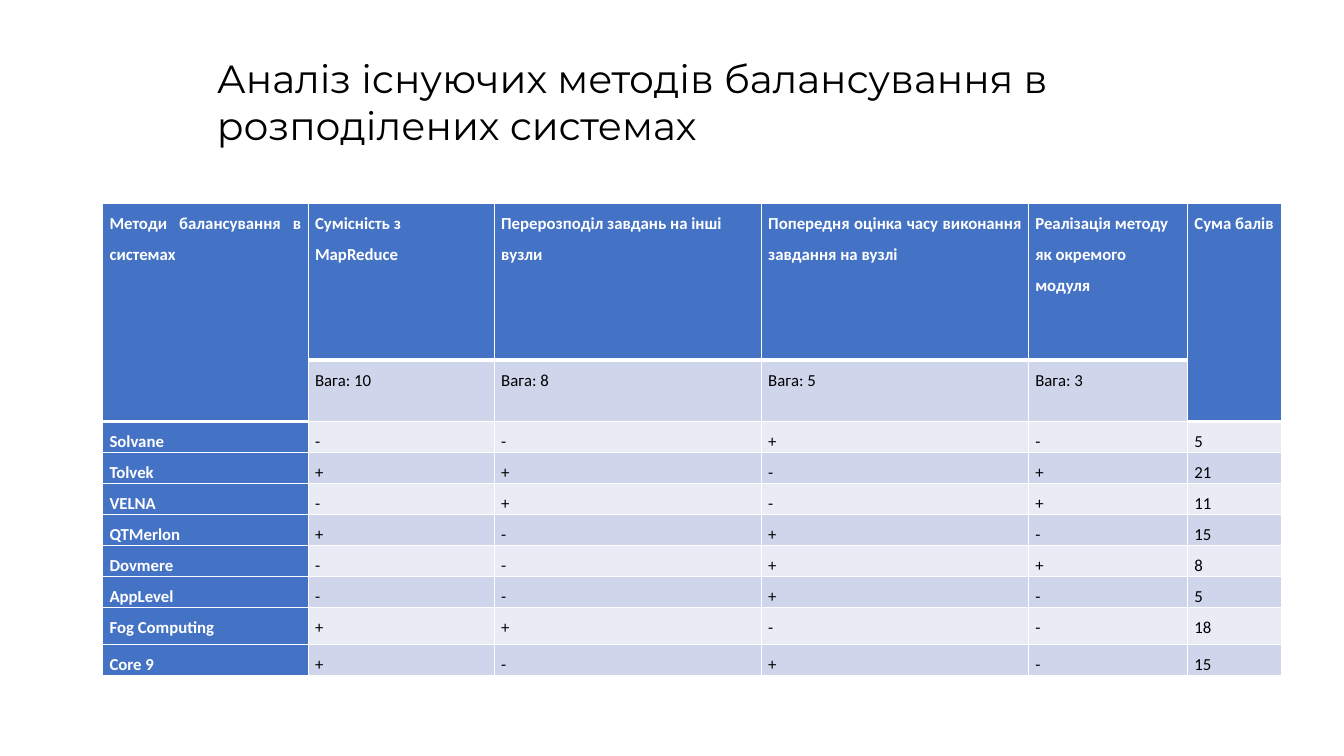
from lxml import etree
from pptx import Presentation
from pptx.dml.color import RGBColor
from pptx.enum.text import MSO_ANCHOR as Anchor, PP_ALIGN as Align
from pptx.oxml.ns import qn
from pptx.util import Cm, Pt

TITLE = "Аналіз існуючих методів балансування в розподілених системах"
HEADS = ["Методи балансування в системах", "Сумісність з MapReduce",
         "Перерозподіл завдань на інші вузли",
         "Попередня оцінка часу виконання завдання на вузлі",
         "Реалізація методу як окремого модуля", "Сума балів"]
COSTS = ["", "Вага: 10", "Вага: 8", "Вага: 5", "Вага: 3", ""]
MARKS = [("Solvane", "--+-", 5), ("Tolvek", "++-+", 21), ("VELNA", "-+-+", 11),
         ("QTMerlon", "+-+-", 15), ("Dovmere", "--++", 8), ("AppLevel", "--+-", 5),
         ("Fog Computing", "++--", 18), ("Core 9", "+-+-", 15)]
ROWS = [HEADS, COSTS] + [[name, *signs, str(total)] for name, signs, total in MARKS]

WIDTHS = [5.18, 4.69, 6.73, 6.73, 4.01, 2.36]
HEIGHTS = [3.94, 1.54] + [0.78] * 6 + [0.94, 0.78]
TALL = (0, 5)
LEFT = (1, 2, 4)

BLUE = RGBColor(0x44, 0x72, 0xC4)
PALE = RGBColor(0xE9, 0xEB, 0xF5)
DARK = RGBColor(0xCF, 0xD5, 0xEA)
WHITE = RGBColor(0xFF, 0xFF, 0xFF)
BLACK = RGBColor(0, 0, 0)

TITLE_BOX = {"left": Cm(5.21), "top": Cm(1.24), "width": Cm(24.84), "height": Cm(3.84)}
TITLE_FRAME = {"word_wrap": True, "vertical_anchor": Anchor.TOP}
TITLE_FONT = {"name": "Montserrat", "size": Pt(28), "bold": False}
CELL_FONT = {"name": "Calibri", "size": Pt(12)}
CELL_PAD = {"margin_left": Cm(0.17), "margin_right": Cm(0.17),
            "margin_top": 0, "margin_bottom": 0, "vertical_anchor": Anchor.TOP}


def apply(item, form):
    for key, value in form.items():
        setattr(item, key, value)


def add_edge(cell, side, points):
    line = etree.SubElement(cell._tc.get_or_add_tcPr(), qn("a:ln" + side), w=str(Pt(points)))
    fill = etree.SubElement(line, qn("a:solidFill"))
    etree.SubElement(fill, qn("a:srgbClr"), val=str(WHITE))


def fill_cell(cell, row, col, text):
    lead = 2 if col in TALL else 1
    head = col == 0 or row < lead
    last = row + (cell.span_height if cell.is_merge_origin else 1)
    apply(cell, CELL_PAD)
    for side, thick in (("L", False), ("R", False), ("T", row == lead), ("B", last == lead)):
        add_edge(cell, side, 3 if thick else 1)
    cell.fill.solid()
    cell.fill.fore_color.rgb = BLUE if head else DARK if row % 2 else PALE
    if cell.is_spanned:
        return
    cell.text = text
    para = cell.text_frame.paragraphs[0]
    align = Align.LEFT if row == 0 and col in LEFT else Align.JUSTIFY
    apply(para, {"alignment": align, "line_spacing": 1.5})
    font = para.runs[0].font
    apply(font, {**CELL_FONT, "bold": head})
    font.color.rgb = WHITE if head else BLACK


def add_title(slide):
    title = slide.shapes.title
    apply(title, TITLE_BOX)
    title.text = TITLE
    apply(title.text_frame, TITLE_FRAME)
    para = title.text_frame.paragraphs[0]
    para.alignment = Align.LEFT
    font = para.runs[0].font
    apply(font, TITLE_FONT)
    font.color.rgb = BLACK


def add_grid(slide):
    grid = slide.shapes.add_table(len(ROWS), len(WIDTHS), Cm(2.59), Cm(5.13),
                                  Cm(sum(WIDTHS)), Cm(sum(HEIGHTS))).table
    for col, width in zip(grid.columns, WIDTHS):
        col.width = Cm(width)
    for row, height in zip(grid.rows, HEIGHTS):
        row.height = Cm(height)
    for col in TALL:
        grid.cell(0, col).merge(grid.cell(1, col))
    for row, texts in enumerate(ROWS):
        for col, text in enumerate(texts):
            fill_cell(grid.cell(row, col), row, col, text)


def main():
    deck = Presentation()
    apply(deck, {"slide_width": Cm(33.87), "slide_height": Cm(19.05)})
    slide = deck.slides.add_slide(deck.slide_layouts[5])
    add_grid(slide)
    add_title(slide)
    deck.save("out.pptx")


if __name__ == "__main__":
    main()
